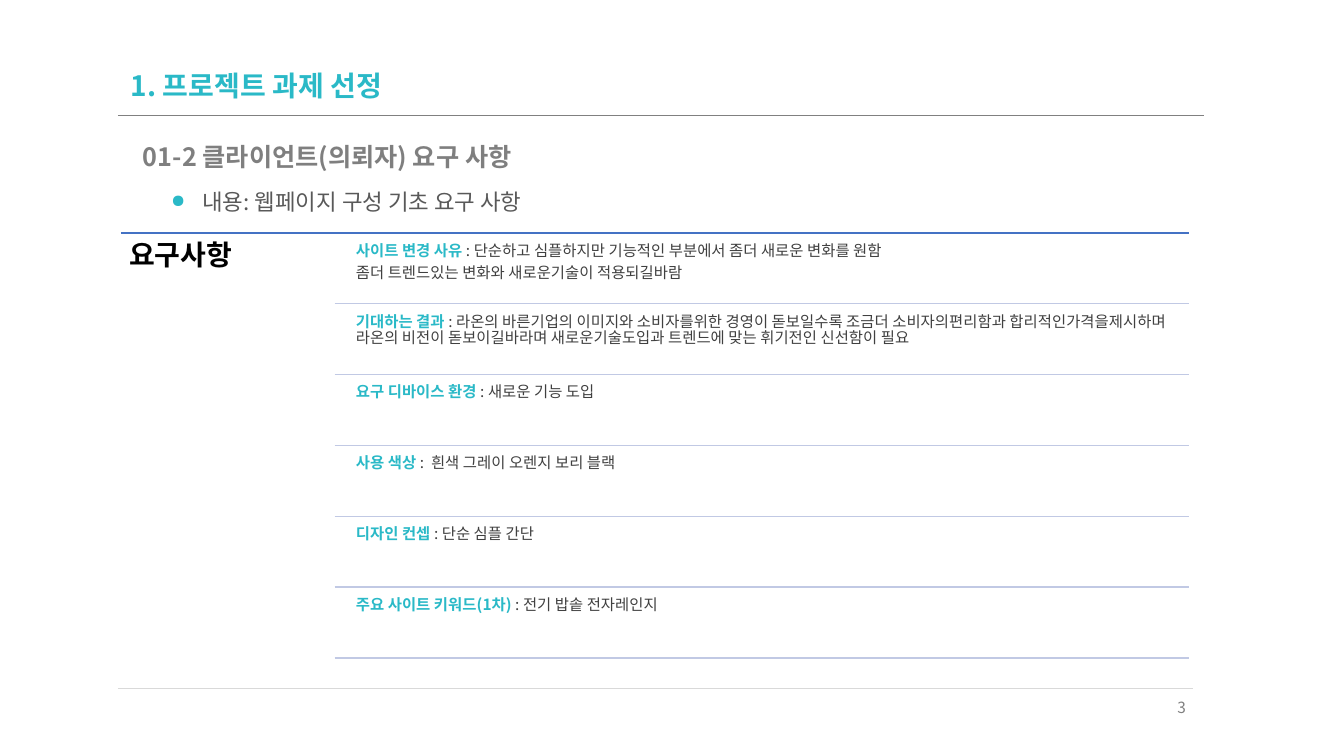
import pptx
import pptx.util
import pptx.dml.color
import pptx.enum.shapes
import pptx.enum.text
import pptx.oxml.ns
import lxml.etree

Inches = pptx.util.Inches
Pt = pptx.util.Pt
qn = pptx.oxml.ns.qn
ALIGN = pptx.enum.text.PP_ALIGN
ANCHOR = pptx.enum.text.MSO_ANCHOR

# Content
TITLE = "1. 프로젝트 과제 선정"
SUBTITLE = "01-2 클라이언트(의뢰자) 요구 사항"
TOPIC = "내용: 웹페이지 구성 기초 요구 사항"
HEADING = "요구사항"
NUMBER = "3"
NEEDS = [
    ("사이트 변경 사유 ", [": 단순하고 심플하지만 기능적인 부분에서 좀더 새로운 변화를 원함",
                    "좀더 트렌드있는 변화와 새로운기술이 적용되길바람"]),
    ("기대하는 결과 ", [": 라온의 바른기업의 이미지와 소비자를위한 경영이 돋보일수록 "
                  "조금더 소비자의편리함과 합리적인가격을제시하며 "
                  "라온의 비전이 돋보이길바라며 새로운기술도입과 "
                  "트렌드에 맞는 휘기전인 신선함이 필요"]),
    ("요구 디바이스 환경 ", [": 새로운 기능 도입"]),
    ("사용 색상 ", [":  흰색 그레이 오렌지 보리 블랙"]),
    ("디자인 컨셉 ", [": 단순 심플 간단"]),
    ("주요 사이트 키워드(1차) ", [": 전기 밥솥 전자레인지"]),
]

# Style
FONT = "Noto Sans CJK KR"
COLORS = {"teal": "2AB9C7", "gray": "7F7F7F", "topic": "595959", "black": "000000",
          "text": "404040", "page": "808080", "foot": "D9D9D9",
          "blue": "4472C4", "pale": "C1C9E4"}

# Layout in inches
LEFT, RIGHT, TOP = 1.2, 11.79, 2.31
COL, INDENT, STEP, GAP = 3.32, 3.48, 0.703, 0.05

deck = pptx.Presentation()
deck.slide_width, deck.slide_height = Inches(13.33), Inches(7.5)
slide = deck.slides.add_slide(deck.slide_layouts[6])


def rgb(name):
    return pptx.dml.color.RGBColor.from_string(COLORS[name])


def rule(x1, x2, y, color, width):
    line = slide.shapes.add_connector(pptx.enum.shapes.MSO_CONNECTOR.STRAIGHT,
                                      Inches(x1), Inches(y), Inches(x2), Inches(y))
    line.line.color.rgb = rgb(color)
    line.line.width = Pt(width)
    props = line._element.find(qn("p:spPr"))
    lxml.etree.SubElement(props, qn("a:effectLst"))


def write(box, paras, pad=None, anchor=ANCHOR.TOP, align=ALIGN.LEFT,
          lead=0.9, before=0, after=0):
    """Each paragraph is a list of (text, size, color, bold) runs."""
    frame = slide.shapes.add_textbox(*map(Inches, box)).text_frame
    frame.word_wrap = True
    frame.vertical_anchor = anchor
    if pad is not None:
        frame.margin_left = frame.margin_right = Inches(pad)
        frame.margin_top = frame.margin_bottom = Inches(pad)
    for i, runs in enumerate(paras):
        para = frame.add_paragraph() if i else frame.paragraphs[0]
        para.alignment, para.line_spacing = align, lead
        para.space_before, para.space_after = Pt(before), Pt(after)
        for text, size, color, bold in runs:
            run = para.add_run()
            run.text = text
            font = run.font
            font.name, font.size, font.bold = FONT, Pt(size), bold
            font.color.rgb = rgb(color)
            lxml.etree.SubElement(run._r.get_or_add_rPr(), qn("a:ea"), typeface=FONT)
    return frame


def bullet(para, color, indent):
    props = para._p.get_or_add_pPr()
    props.set("marL", str(Inches(indent)))
    props.set("indent", str(-Inches(indent)))
    tint = lxml.etree.SubElement(props, qn("a:buClr"))
    lxml.etree.SubElement(tint, qn("a:srgbClr"), val=COLORS[color])
    lxml.etree.SubElement(props, qn("a:buSzPct"), val="80000")
    lxml.etree.SubElement(props, qn("a:buChar"), char="●")


# Page frame
rule(1.17, 11.94, 1.14, "page", 0.5)
rule(1.17, 11.83, 6.83, "foot", 0.5)

# Headings
write((LEFT, 0.62, 10.78, 0.49), [[(TITLE, 20, "teal", True)]], anchor=ANCHOR.MIDDLE)
write((1.32, 1.39, 10.66, 0.34), [[(SUBTITLE, 18, "gray", True)]], before=10)
topic = write((1.6, 1.85, 10.38, 0.34), [[(TOPIC, 16, "topic", False)]], before=10)
bullet(topic.paragraphs[0], "teal", 0.31)

# Requirement list
rule(LEFT, RIGHT, TOP, "blue", 1)
write((LEFT, TOP, COL - LEFT, 4.27), [[(HEADING, 20, "black", True)]], pad=0.08, after=7)
for i, (label, lines) in enumerate(NEEDS):
    y = TOP + i * STEP
    paras = [[(line, 11, "text", False)] for line in lines]
    paras[0].insert(0, (label, 11, "teal", True))
    write((INDENT, y + GAP, RIGHT - INDENT, STEP - GAP), paras, pad=0.05, after=3.85)
    rule(COL, RIGHT, y + STEP, "pale", 1)

# Page number
write((11.27, 6.88, 0.59, 0.4), [[(NUMBER, 11, "page", False)]], align=ALIGN.RIGHT, lead=1.0)

deck.save("out.pptx")
